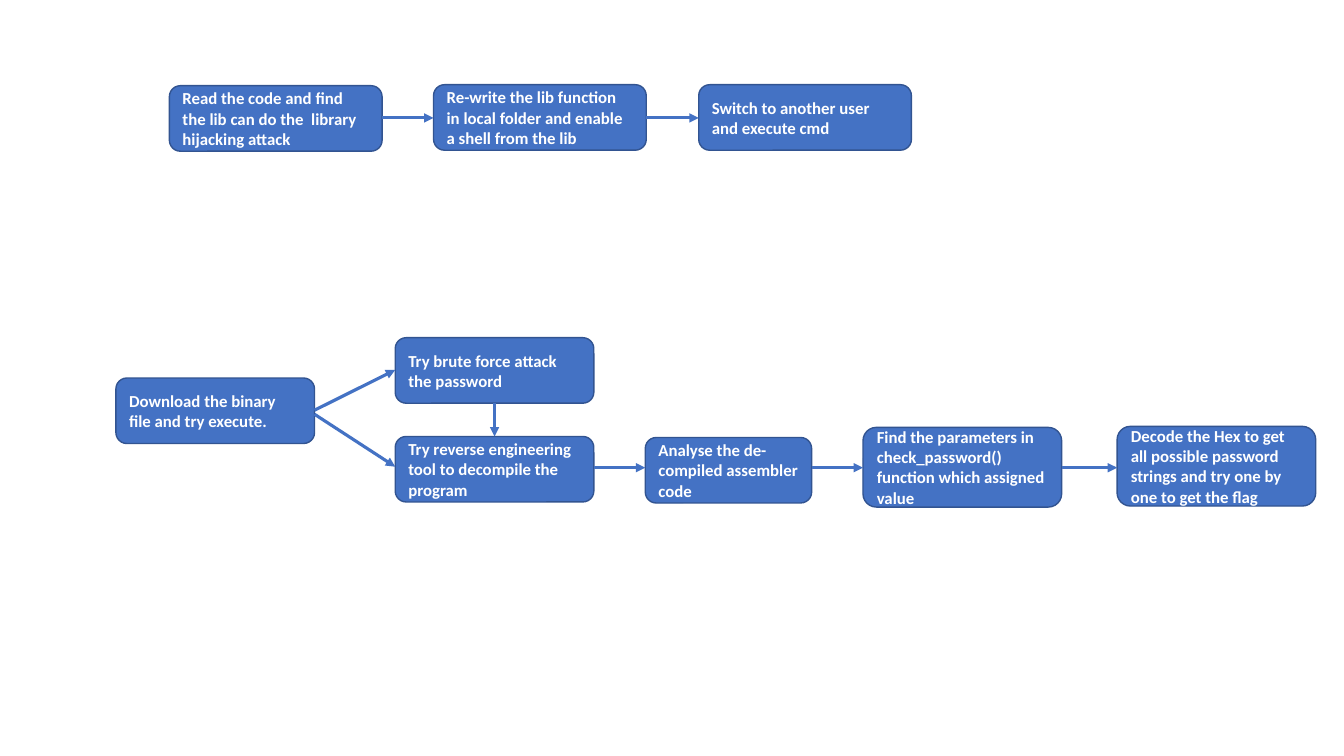
from dataclasses import dataclass

from lxml.etree import SubElement
from pptx import Presentation
from pptx.dml.color import RGBColor
from pptx.enum.shapes import MSO_CONNECTOR as Connector, MSO_SHAPE as Shape
from pptx.enum.text import MSO_ANCHOR as Anchor, PP_ALIGN as Align
from pptx.oxml.ns import qn
from pptx.util import Inches, Pt


@dataclass(frozen=True)
class Theme:
    fill: RGBColor = RGBColor(0x44, 0x72, 0xC4)
    outline: RGBColor = RGBColor(0x32, 0x54, 0x91)
    text: RGBColor = RGBColor(0xFF, 0xFF, 0xFF)
    font: str = "Calibri"
    text_size: Pt = Pt(12)
    outline_width: Pt = Pt(1)
    arrow_width: Pt = Pt(2.25)


THEME = Theme()
COLUMNS, ROWS = 133.3, 75
CELL = Inches(0.1)
STEP_HEIGHT, TALL_STEP_HEIGHT = 6.5, 7.9
HIJACK_WIDTH, REVERSE_WIDTH, ANALYSE_WIDTH = 21.1, 19.7, 16.5
HIJACK_LANE, REVERSE_LANE = 11.7, 46.4

HIJACK_STEPS = [
    (16.8, 8.5, "Read the code and find the lib can do the  library hijacking attack"),
    (43, 8.4, "Re-write the lib function in local folder and enable a shell from the lib"),
    (69.3, 8.4, "Switch to another user and execute cmd"),
]
REVERSE_STEPS = [
    (39.2, 43.3, REVERSE_WIDTH, STEP_HEIGHT,
     "Try reverse engineering tool to decompile the program"),
    (64, 43.4, ANALYSE_WIDTH, STEP_HEIGHT, "Analyse the de-compiled assembler code"),
    (85.6, 42.4, REVERSE_WIDTH, TALL_STEP_HEIGHT,
     "Find the parameters in check_password() function which assigned value"),
    (110.8, 42.3, REVERSE_WIDTH, TALL_STEP_HEIGHT,
     "Decode the Hex to get all possible password strings and try one by one to get the flag"),
]


def cells(count):
    return round(count * CELL)


def add_step(page, column, row, width, height, text):
    box = page.shapes.add_shape(
        Shape.ROUNDED_RECTANGLE, cells(column), cells(row), cells(width), cells(height))
    box.shadow.inherit = False
    box.fill.solid()
    box.fill.fore_color.rgb = THEME.fill
    box.line.color.rgb = THEME.outline
    box.line.width = THEME.outline_width
    frame = box.text_frame
    frame.word_wrap = True
    frame.vertical_anchor = Anchor.MIDDLE
    frame.text = text
    para = frame.paragraphs[0]
    para.alignment = Align.LEFT
    for span in para.runs:
        span.font.name = THEME.font
        span.font.size = THEME.text_size
        span.font.bold = True
        span.font.color.rgb = THEME.text
    return box


def add_arrow(page, start, end):
    arrow = page.shapes.add_connector(Connector.STRAIGHT, *start, *end)
    arrow.line.color.rgb = THEME.fill
    arrow.line.width = THEME.arrow_width
    SubElement(arrow.line._get_or_add_ln(), qn("a:tailEnd"), type="triangle")
    SubElement(arrow._element.spPr, qn("a:effectLst"))


def link_across(page, source, target, start_row, end_row):
    add_arrow(page, (source.left + source.width, cells(start_row)),
              (target.left, cells(end_row)))


def link_down(page, source, target):
    middle = source.left + source.width // 2
    add_arrow(page, (middle, source.top + source.height), (middle, target.top))


def link_lane(page, boxes, row):
    for source, target in zip(boxes, boxes[1:]):
        link_across(page, source, target, row, row)


def add_hijack_flow(page):
    boxes = [add_step(page, column, row, HIJACK_WIDTH, STEP_HEIGHT, text)
             for column, row, text in HIJACK_STEPS]
    link_lane(page, boxes, HIJACK_LANE)


def add_reverse_flow(page):
    download = add_step(page, 11.5, 37.5, REVERSE_WIDTH, STEP_HEIGHT,
                        "Download the binary file and try execute.")
    brute_force = add_step(page, 39.2, 33.5, REVERSE_WIDTH, STEP_HEIGHT,
                           "Try brute force attack the password")
    boxes = [add_step(page, *step) for step in REVERSE_STEPS]
    link_across(page, download, brute_force, 40.7, 36.7)
    link_across(page, download, boxes[0], 41.1, 46.3)
    link_down(page, brute_force, boxes[0])
    link_lane(page, boxes, REVERSE_LANE)


def main():
    deck = Presentation()
    deck.slide_width = cells(COLUMNS)
    deck.slide_height = cells(ROWS)
    page = deck.slides.add_slide(deck.slide_layouts[6])
    add_hijack_flow(page)
    add_reverse_flow(page)
    deck.save("out.pptx")


main()
